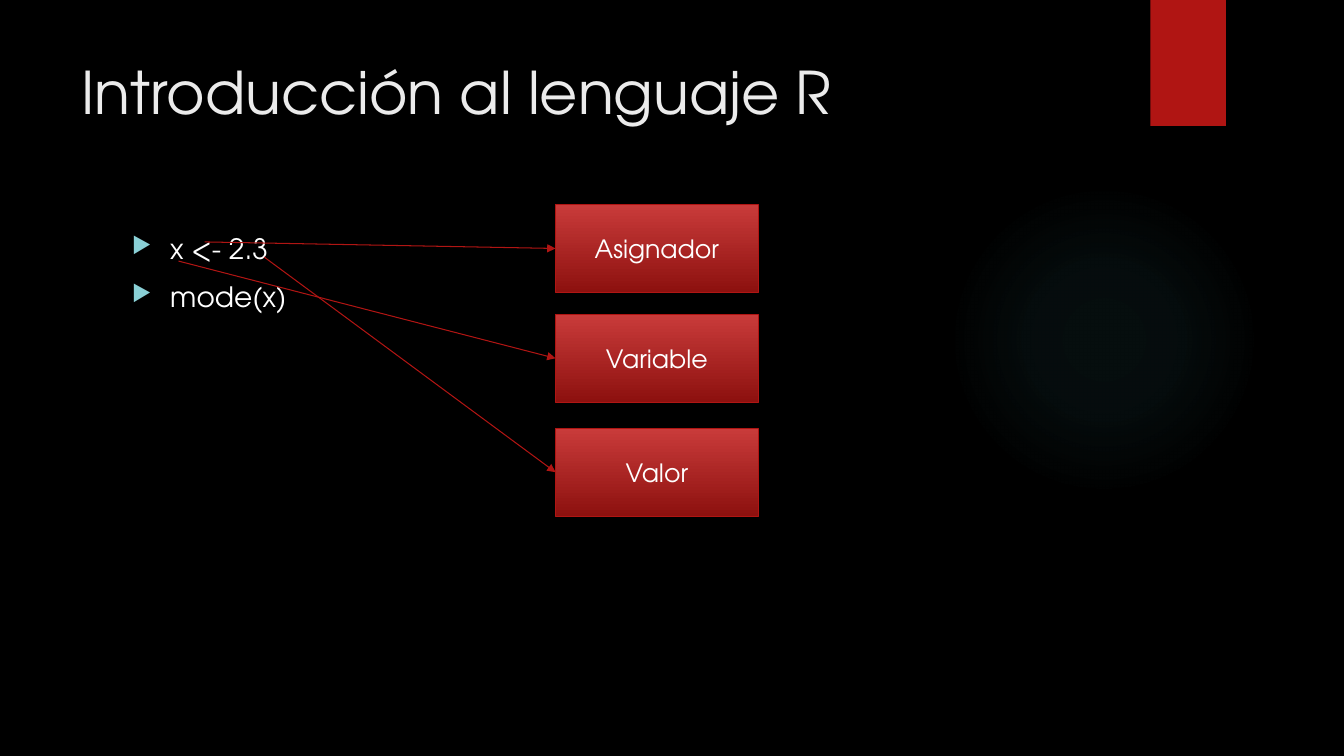
from dataclasses import dataclass

from lxml import etree
from pptx import Presentation
from pptx import util as u
from pptx.dml.color import RGBColor
from pptx.enum import shapes, text
from pptx.oxml import parse_xml
from pptx.oxml.ns import nsdecls, qn


@dataclass(frozen=True)
class Theme:
    font: str = "TeX Gyre Adventor"
    back: str = "000000"
    title: str = "EBEBEB"
    body: str = "FFFFFF"
    red: str = "B01513"
    light: str = "C93B3A"
    dark: str = "8D110F"
    glow: str = "50B9C1"
    mark: str = "8AD0D6"
    title_size: int = 42
    body_size: int = 20
    box_size: int = 18
    line: float = 0.75


THEME = Theme()


def rgb(code):
    return RGBColor.from_string(code)


def place(*sizes):
    return [u.Inches(size) for size in sizes]


def style(frame, size, color, align):
    for para in frame.paragraphs:
        para.alignment = align
        for run in para.runs:
            run.font.name = THEME.font
            run.font.size = u.Pt(size)
            run.font.color.rgb = rgb(color)


def add_plain(slide, kind, *spot):
    """Add a preset shape with neither shadow nor outline."""
    shape = slide.shapes.add_shape(kind, *place(*spot))
    shape.shadow.inherit = False
    shape.line.fill.background()
    return shape


def add_glow(slide, *spot):
    """Add a circle that fades out from its centre."""
    glow = add_plain(slide, shapes.MSO_SHAPE.OVAL, *spot)
    stops = "".join(
        f'<a:gs pos="{pos * 1000}"><a:srgbClr val="{THEME.glow}">'
        f'<a:alpha val="{alpha * 1000}"/></a:srgbClr></a:gs>'
        for pos, alpha in ((0, 7), (36, 6), (69, 0), (100, 0)))
    fill = parse_xml(
        f'<a:gradFill {nsdecls("a")}><a:gsLst>{stops}</a:gsLst>'
        '<a:path path="circle"><a:fillToRect l="50000" t="50000" '
        'r="50000" b="50000"/></a:path></a:gradFill>')
    glow._element.spPr.find(qn("a:prstGeom")).addnext(fill)


def add_tab(slide, *spot):
    tab = add_plain(slide, shapes.MSO_SHAPE.RECTANGLE, *spot)
    tab.fill.solid()
    tab.fill.fore_color.rgb = rgb(THEME.red)


def set_title(slide, words, *spot):
    title = slide.shapes.title
    title.left, title.top, title.width, title.height = place(*spot)
    frame = title.text_frame
    frame.text = words
    frame.auto_size = text.MSO_AUTO_SIZE.NONE
    frame.vertical_anchor = text.MSO_ANCHOR.TOP
    style(frame, THEME.title_size, THEME.title, text.PP_ALIGN.LEFT)


def add_list(slide, items, *spot):
    frame = slide.shapes.add_textbox(*place(*spot)).text_frame
    frame.word_wrap = True
    frame.text = "\n".join(items)
    style(frame, THEME.body_size, THEME.body, text.PP_ALIGN.LEFT)
    for para in frame.paragraphs:
        para.space_before = u.Pt(10)
        props = para._p.get_or_add_pPr()
        props.set("marL", str(u.Inches(0.38)))
        props.set("indent", str(u.Inches(-0.38)))
        color = etree.SubElement(props, qn("a:buClr"))
        etree.SubElement(color, qn("a:srgbClr"), val=THEME.mark)
        etree.SubElement(props, qn("a:buSzPct"), val="80000")
        etree.SubElement(props, qn("a:buChar"), char="▶")


def add_box(slide, label, *spot):
    box = add_plain(slide, shapes.MSO_SHAPE.RECTANGLE, *spot)
    box.fill.gradient()
    box.fill.gradient_angle = 270
    for stop, color in zip(box.fill.gradient_stops, (THEME.light, THEME.dark)):
        stop.color.rgb = rgb(color)
    box.line.color.rgb = rgb(THEME.red)
    box.line.width = u.Pt(THEME.line)
    frame = box.text_frame
    frame.text = label
    frame.vertical_anchor = text.MSO_ANCHOR.MIDDLE
    style(frame, THEME.box_size, THEME.body, text.PP_ALIGN.CENTER)
    return box


def add_arrow(slide, start, box):
    """Draw an arrow from a point to the left side of a box."""
    x, y = place(*start)
    arrow = slide.shapes.add_connector(shapes.MSO_CONNECTOR.STRAIGHT, x, y, x, y)
    arrow.end_connect(box, 1)
    arrow.line.color.rgb = rgb(THEME.red)
    arrow.line.width = u.Pt(THEME.line)
    etree.SubElement(arrow.line._get_or_add_ln(), qn("a:tailEnd"), type="triangle")
    etree.SubElement(arrow._element.spPr, qn("a:effectLst"))


def main():
    deck = Presentation()
    deck.slide_width, deck.slide_height = place(13.33, 7.5)
    slide = deck.slides.add_slide(deck.slide_layouts[5])
    slide.background.fill.solid()
    slide.background.fill.fore_color.rgb = rgb(THEME.back)

    add_glow(slide, 9.41, 1.83, 3.08, 3.08)
    add_tab(slide, 11.41, 0, 0.75, 1.25)
    set_title(slide, "Introducción al lenguaje R", 0.71, 0.5, 10.29, 1.53)
    add_list(slide, ("x <- 2.3", "mode(x)"), 1.21, 2.25, 9.78, 4.59)

    parts = (
        ("Asignador", 2.03, (2.03, 2.4)),
        ("Variable", 3.12, (1.77, 2.59)),
        ("Valor", 4.25, (2.62, 2.55)),
    )
    for label, top, start in parts:
        box = add_box(slide, label, 5.51, top, 2.01, 0.87)
        add_arrow(slide, start, box)

    deck.save("out.pptx")


if __name__ == "__main__":
    main()
